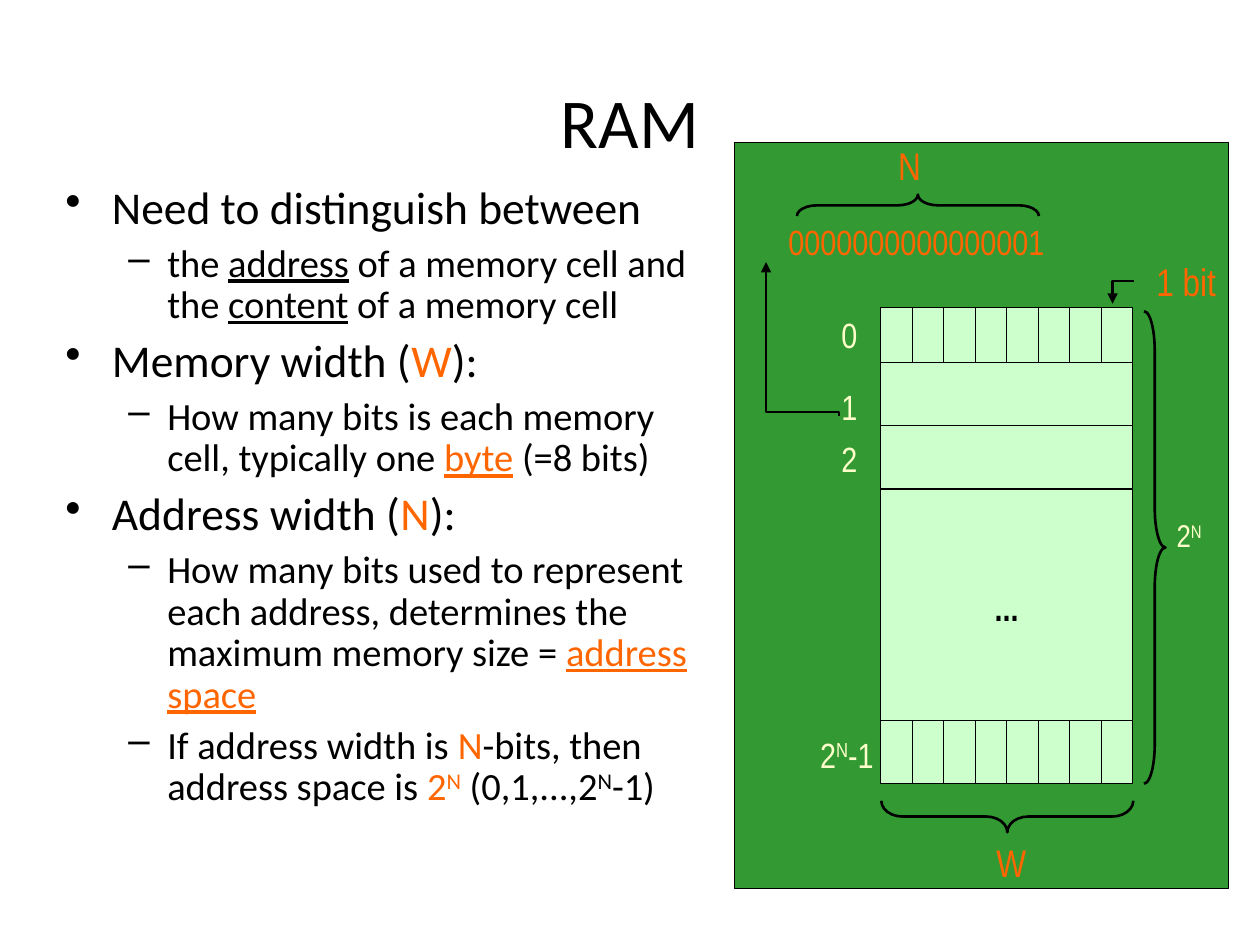
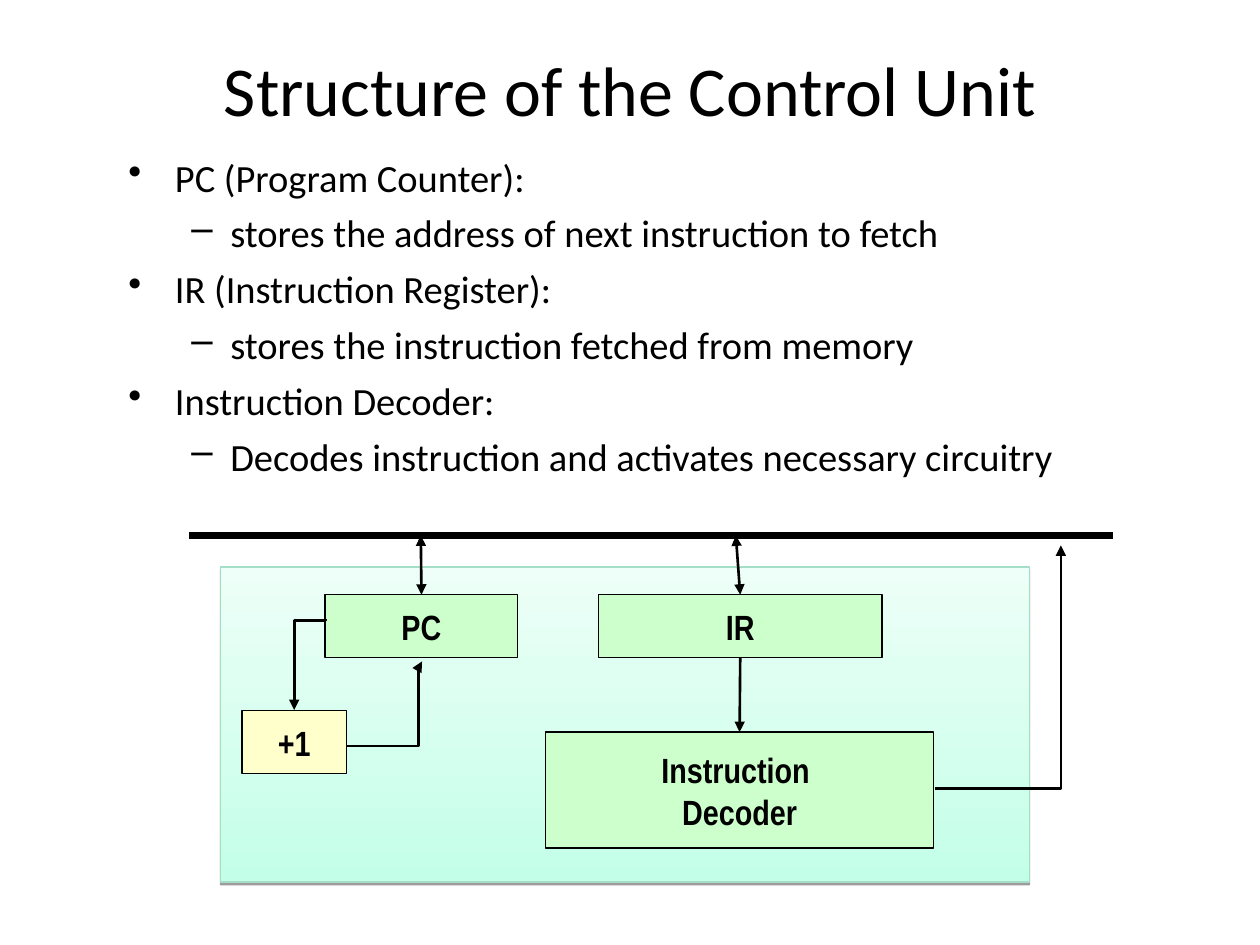
from dataclasses import dataclass
from typing import NamedTuple, Optional

from lxml.etree import SubElement
from pptx import Presentation
from pptx.dml.color import RGBColor
from pptx.enum.shapes import MSO_CONNECTOR as Link, MSO_SHAPE as Preset
from pptx.enum.text import MSO_ANCHOR as Anchor, PP_ALIGN as Align
from pptx.oxml.ns import qn
from pptx.util import Inches, Pt


@dataclass(frozen=True)
class Theme:
    """Colours, fonts and type sizes used on both slides."""

    ink: str = "000000"
    accent: str = "FF6600"
    panel: str = "339933"
    cell: str = "CCFFCC"
    cream: str = "FFFFCC"
    unit_dark: str = "C3FFE8"
    unit_light: str = "EDFFF8"
    unit_line: str = "A5DEC6"
    body_font: str = "Calibri"
    diagram_font: str = "Arial Narrow"
    title_size: int = 40
    topic_size: int = 26
    detail_size: int = 22
    diagram_size: int = 20
    note_size: int = 18
    thin: float = 0.75
    medium: float = 1.5
    thick: float = 4


THEME = Theme()


class Place(NamedTuple):
    """Left, top, width and height in inches."""

    left: float
    top: float
    width: float
    height: float

    def lengths(self) -> list:
        """Return the four values as lengths."""
        return [Inches(value) for value in self]


class Span(NamedTuple):
    """A piece of text with its own formatting."""

    text: str
    colour: Optional[str] = None
    underline: bool = False
    raised: bool = False


class Bullet(NamedTuple):
    """A list item with its level."""

    level: int
    spans: list


class Label(NamedTuple):
    """A caption in the memory diagram."""

    place: Place
    spans: list
    colour: str
    size: int
    wrap: bool


class Elbow(NamedTuple):
    """A bent arrow, given by its frame before rotation."""

    place: Place
    rising: bool = True
    rotation: int = 0
    bend: Optional[float] = None


class Brace(NamedTuple):
    """A curly brace."""

    preset: Preset
    place: Place
    rotation: int = 0


class Part(NamedTuple):
    """A named block of the control unit."""

    place: Place
    lines: list
    fill: str


LEVELS = [(0.37, -0.37, "•"), (0.81, -0.31, "–")]

RAM_POINTS = [
    Bullet(0, [Span("Need to distinguish between")]),
    Bullet(1, [Span("the "), Span("address", underline=True), Span(" of a memory cell and the "),
               Span("content", underline=True), Span(" of a memory cell")]),
    Bullet(0, [Span("Memory width ("), Span("W", THEME.accent), Span("):")]),
    Bullet(1, [Span("How many bits is each memory cell, typically one "),
               Span("byte", THEME.accent, True), Span(" (=8 bits)")]),
    Bullet(0, [Span("Address width ("), Span("N", THEME.accent), Span("):")]),
    Bullet(1, [Span("How many bits used to represent each address, "
                    "determines the maximum memory size = "),
               Span("address space", THEME.accent, True)]),
    Bullet(1, [Span("If address width is "), Span("N", THEME.accent),
               Span("-bits, then address space is "), Span("2", THEME.accent),
               Span("N", THEME.accent, raised=True), Span(" (0,1,...,2"),
               Span("N", raised=True), Span("-1)")]),
]

CONTROL_POINTS = [
    Bullet(0, [Span("PC (Program Counter):")]),
    Bullet(1, [Span("stores the address of next instruction to fetch")]),
    Bullet(0, [Span("IR (Instruction Register):")]),
    Bullet(1, [Span("stores the instruction fetched from memory")]),
    Bullet(0, [Span("Instruction Decoder:")]),
    Bullet(1, [Span("Decodes instruction and activates necessary circuitry")]),
]

POWER = [Span("2"), Span("N", raised=True)]
MEMORY_LABELS = [
    *(Label(Place(6.58, top, 0.27, 0.44), [Span(str(address))], THEME.cream, THEME.diagram_size, True)
      for address, top in enumerate([2.44, 3.01, 3.42])),
    Label(Place(6.41, 5.77, 0.75, 0.44), [*POWER, Span("-1")], THEME.cream, THEME.diagram_size, True),
    Label(Place(9.24, 4.05, 0.5, 0.4), POWER, THEME.cream, THEME.note_size, True),
    Label(Place(9.08, 2, 0.67, 0.47), [Span("1 bit")], THEME.accent, THEME.detail_size, False),
    Label(Place(7.81, 6.61, 0.43, 0.47), [Span("W")], THEME.accent, THEME.detail_size, False),
    Label(Place(7.03, 1.08, 0.38, 0.47), [Span("N")], THEME.accent, THEME.detail_size, False),
    Label(Place(6.16, 1.7, 2.23, 0.44), [Span("0000000000000001")], THEME.accent,
          THEME.diagram_size, False),
]
MEMORY_BRACES = [
    Brace(Preset.LEFT_BRACE, Place(7.2, 0.67, 0.17, 1.92), 90),
    Brace(Preset.LEFT_BRACE, Place(7.87, 5.48, 0.25, 2), 270),
    Brace(Preset.RIGHT_BRACE, Place(9.08, 2.47, 0.17, 3.75)),
]
MEMORY_ELBOWS = [
    Elbow(Place(8.83, 2.23, 0.17, 0.18), rotation=180),
    Elbow(Place(5.76, 2.4, 1.22, 0.58), rotation=270, bend=0.025),
]

CONTROL_PARTS = {
    "decoder": Part(Place(4.33, 5.81, 3.08, 0.92), ["Instruction ", "Decoder"], THEME.cell),
    "ir": Part(Place(4.75, 4.72, 2.25, 0.5), ["IR"], THEME.cell),
    "increment": Part(Place(1.92, 5.64, 0.83, 0.5), ["+1"], THEME.cream),
    "pc": Part(Place(2.58, 4.72, 1.53, 0.5), ["PC"], THEME.cell),
}
CONTROL_ELBOWS = [
    Elbow(Place(2.1, 5.15, 0.72, 0.25), rising=False, rotation=90, bend=0.015),
    Elbow(Place(2.75, 5.25, 0.6, 0.67), bend=0.951),
    Elbow(Place(7.42, 4.33, 1, 1.93)),
]


def rgb(colour: str) -> RGBColor:
    """Turn a hex string into a colour."""
    return RGBColor.from_string(colour)


def style_font(para, name: str, size: float, colour: str, bold: bool = False) -> None:
    """Set the font that a whole paragraph shares."""
    para.font.name = name
    para.font.size = Pt(size)
    para.font.bold = bold
    para.font.color.rgb = rgb(colour)


def add_spans(para, spans: list) -> None:
    """Write the spans as runs."""
    for span in spans:
        run = para.add_run()
        run.text = span.text
        if span.colour:
            run.font.color.rgb = rgb(span.colour)
        if span.underline:
            run.font.underline = True
        if span.raised:
            run._r.get_or_add_rPr().set("baseline", "30000")


def add_title(page, text: str, top: float) -> None:
    """Draw the centred slide title."""
    frame = page.shapes.add_textbox(*Place(0.75, top, 8.5, 0.77).lengths()).text_frame
    frame.word_wrap = True
    frame.vertical_anchor = Anchor.MIDDLE
    para = frame.paragraphs[0]
    para.text = text
    para.alignment = Align.CENTER
    style_font(para, THEME.body_font, THEME.title_size, THEME.ink)


def add_bullets(page, place: Place, bullets: list, sizes: list, line_spacing: float) -> None:
    """Draw a two-level list."""
    frame = page.shapes.add_textbox(*place.lengths()).text_frame
    frame.word_wrap = True
    for index, bullet in enumerate(bullets):
        para = frame.add_paragraph() if index else frame.paragraphs[0]
        margin, indent, mark = LEVELS[bullet.level]
        size = sizes[bullet.level]
        para.level = bullet.level
        properties = para._p.get_or_add_pPr()
        properties.set("marL", str(Inches(margin)))
        properties.set("indent", str(Inches(indent)))
        mark_colour = SubElement(properties, qn("a:buClr"))
        SubElement(mark_colour, qn("a:srgbClr"), val=THEME.ink)
        SubElement(properties, qn("a:buChar"), char=mark)
        para.line_spacing = line_spacing
        para.space_before = Pt(size / 4)
        style_font(para, THEME.body_font, size, THEME.ink)
        add_spans(para, bullet.spans)


def add_label(page, label: Label) -> None:
    """Draw a diagram caption."""
    frame = page.shapes.add_textbox(*label.place.lengths()).text_frame
    frame.word_wrap = label.wrap
    para = frame.paragraphs[0]
    style_font(para, THEME.diagram_font, label.size, label.colour)
    add_spans(para, label.spans)


def add_box(page, place: Place, fill: str, lines: Optional[list] = None, line: str = THEME.ink):
    """Draw an outlined rectangle with optional bold text."""
    box = page.shapes.add_shape(Preset.RECTANGLE, *place.lengths())
    box.shadow.inherit = False
    box.fill.solid()
    box.fill.fore_color.rgb = rgb(fill)
    box.line.color.rgb = rgb(line)
    box.line.width = Pt(THEME.thin)
    frame = box.text_frame
    frame.word_wrap = False
    frame.vertical_anchor = Anchor.MIDDLE
    for index, text in enumerate(lines or []):
        para = frame.add_paragraph() if index else frame.paragraphs[0]
        para.text = text
        para.alignment = Align.CENTER
        style_font(para, THEME.diagram_font, THEME.diagram_size, THEME.ink, True)
    return box


def add_bits(page, row: Place, count: int = 8) -> None:
    """Split a memory row into equal bit cells."""
    width = row.width / count
    for bit in range(count):
        add_box(page, Place(row.left + bit * width, row.top, width, row.height), THEME.cell)


def add_brace(page, brace: Brace) -> None:
    """Draw a brace whose curls take a twelfth of its length."""
    shape = page.shapes.add_shape(brace.preset, *brace.place.lengths())
    shape.shadow.inherit = False
    shape.fill.background()
    shape.line.color.rgb = rgb(THEME.ink)
    shape.line.width = Pt(THEME.medium)
    shape.adjustments[0] = brace.place.height / brace.place.width / 12
    shape.rotation = brace.rotation


def add_line(page, kind, start: tuple, end: tuple, width: float, heads: tuple = ()):
    """Draw a connector with arrowheads at the named ends."""
    points = [Inches(value) for value in (*start, *end)]
    line = page.shapes.add_connector(kind, *points)
    line.line.color.rgb = rgb(THEME.ink)
    line.line.width = Pt(width)
    for head in heads:
        SubElement(line.line._get_or_add_ln(), qn(f"a:{head}"), type="triangle")
    SubElement(line._element.spPr, qn("a:effectLst"))
    return line


def add_elbow(page, elbow: Elbow) -> None:
    """Draw a bent arrow with one corner, or with two when a bend is given."""
    left, top, width, height = elbow.place
    start, end = (top + height, top) if elbow.rising else (top, top + height)
    line = add_line(page, Link.ELBOW, (left, start), (left + width, end), THEME.medium, ("tailEnd",))
    properties = line._element.spPr
    properties.find(qn("a:xfrm")).set("rot", str(elbow.rotation * 60000))
    geometry = properties.find(qn("a:prstGeom"))
    if elbow.bend is None:
        geometry.set("prst", "bentConnector2")
    else:
        SubElement(geometry.find(qn("a:avLst")), qn("a:gd"), name="adj1",
                   fmla=f"val {round(elbow.bend * 100000)}")


def add_unit_panel(page) -> None:
    """Draw the shaded background of the control unit."""
    panel = add_box(page, Place(1.75, 4.5, 6.42, 2.5), THEME.unit_light, line=THEME.unit_line)
    panel.fill.gradient()
    panel.fill.gradient_angle = 90
    for stop, colour in zip(panel.fill.gradient_stops, (THEME.unit_dark, THEME.unit_light)):
        stop.color.rgb = rgb(colour)
    effects = panel._element.spPr.find(qn("a:effectLst"))
    shadow = SubElement(effects, qn("a:outerShdw"), dist=str(Pt(1.6)), dir="5400000", rotWithShape="0")
    tint = SubElement(shadow, qn("a:srgbClr"), val=THEME.ink)
    SubElement(tint, qn("a:alpha"), val="38000")


def build_ram(page) -> None:
    """Build the memory slide."""
    add_box(page, Place(5.83, 1.13, 3.92, 5.92), THEME.panel)
    add_title(page, "RAM", 0.57)
    add_bullets(page, Place(0.42, 1.42, 5.17, 6.04), RAM_POINTS,
                [THEME.topic_size, THEME.detail_size], 0.9)
    add_box(page, Place(6.99, 3.88, 2, 1.89), THEME.cell, ["..."])
    for top in (2.44, 5.72):
        add_bits(page, Place(6.99, top, 2, 0.5))
    for top in (2.88, 3.38):
        add_box(page, Place(6.99, top, 2, 0.5), THEME.cell)
    for label in MEMORY_LABELS:
        add_label(page, label)
    for brace in MEMORY_BRACES:
        add_brace(page, brace)
    for elbow in MEMORY_ELBOWS:
        add_elbow(page, elbow)


def build_control_unit(page) -> None:
    """Build the control unit slide."""
    add_unit_panel(page)
    add_title(page, "Structure of the Control Unit", 0.32)
    add_bullets(page, Place(0.92, 1.17, 7.92, 3.05), CONTROL_POINTS, [THEME.detail_size] * 2, 1.0)
    add_line(page, Link.STRAIGHT, (1.5, 4.25), (8.83, 4.25), THEME.thick)
    boxes = {name: add_box(page, part.place, part.fill, part.lines)
             for name, part in CONTROL_PARTS.items()}
    for elbow in CONTROL_ELBOWS:
        add_elbow(page, elbow)
    decode = add_line(page, Link.STRAIGHT, (5.88, 5.22), (5.87, 5.81), THEME.medium, ("tailEnd",))
    decode.begin_connect(boxes["ir"], 2)
    decode.end_connect(boxes["decoder"], 0)
    for name, centre in (("pc", 3.34), ("ir", 5.84)):
        bus_link = add_line(page, Link.STRAIGHT, (centre, 4.72), (centre, 4.25), THEME.medium,
                            ("headEnd", "tailEnd"))
        bus_link.begin_connect(boxes[name], 0)


def main() -> None:
    """Build and save the deck."""
    deck = Presentation()
    deck.slide_width, deck.slide_height = Inches(10), Inches(7.5)
    for build in (build_ram, build_control_unit):
        build(deck.slides.add_slide(deck.slide_layouts[6]))
    deck.save("out.pptx")


if __name__ == "__main__":
    main()
